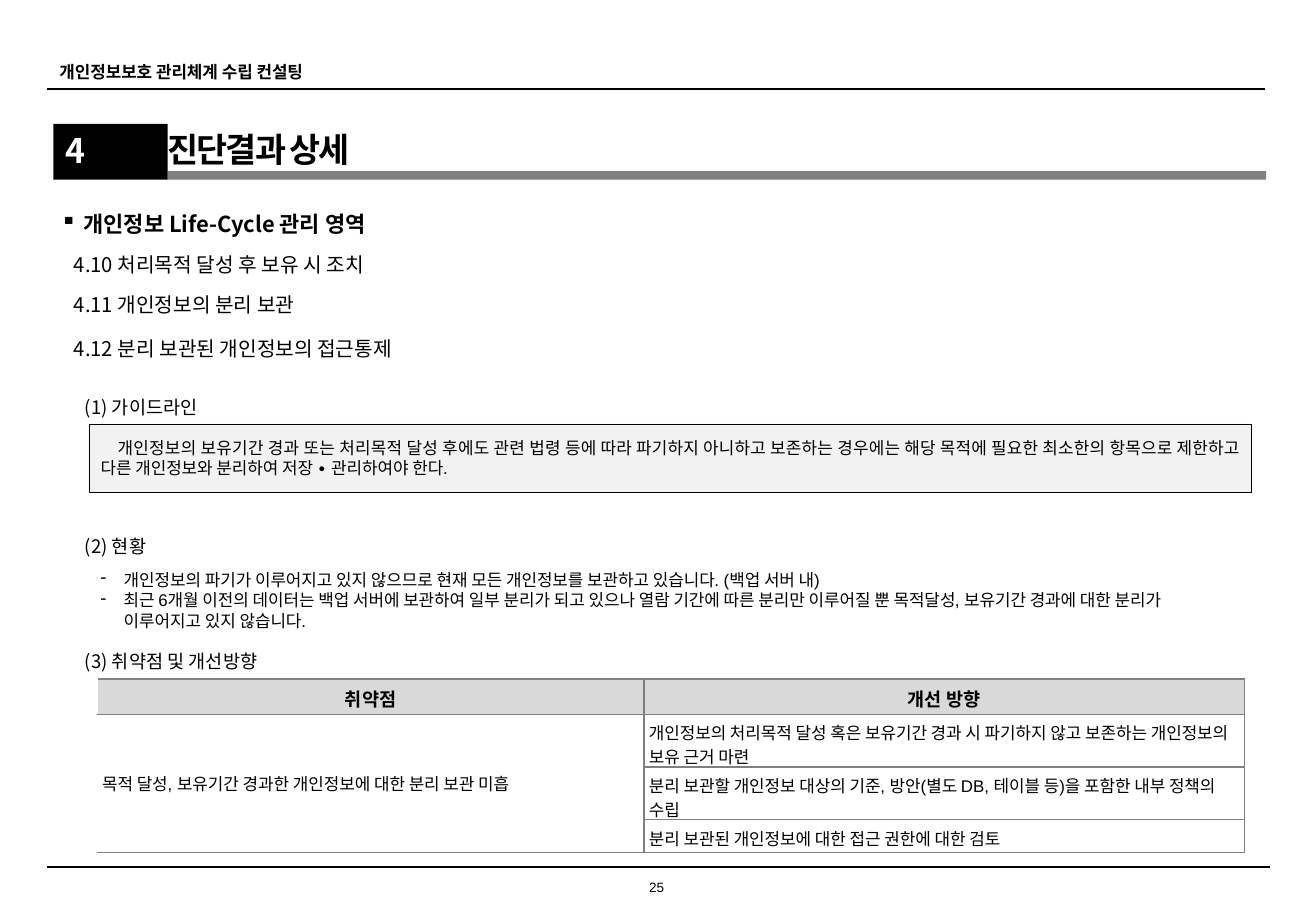
from lxml import etree
from pptx import Presentation
from pptx.dml.color import RGBColor
from pptx.enum.shapes import MSO_CONNECTOR, MSO_SHAPE
from pptx.enum.text import MSO_ANCHOR, PP_ALIGN
from pptx.oxml.ns import qn
from pptx.util import Inches, Pt

COLORS = {"black": "000000", "white": "FFFFFF", "bar": "808080",
          "box": "F2F2F2", "head": "D9D9D9", "border": "808080"}
C = {name: RGBColor.from_string(value) for name, value in COLORS.items()}
NOTO, ARIAL = "Noto Sans CJK KR", "Arial"


def write(tf, lines, size, font=NOTO, bold=False, color="black", align=PP_ALIGN.LEFT,
          spacing=None, indent=None, bullet=None):
    """Fill a text frame, one paragraph per line; indent is (left margin, first line)."""
    tf.word_wrap = True
    tf.text = "\n".join(lines)
    for p in tf.paragraphs:
        p.alignment = align
        if spacing:
            p.line_spacing = spacing
        pPr = p._p.get_or_add_pPr()
        if indent:
            pPr.set("marL", str(Inches(indent[0])))
            pPr.set("indent", str(Inches(indent[1])))
        if bullet:
            etree.SubElement(pPr, qn("a:buChar")).set("char", bullet)
        for r in p.runs:
            r.font.size, r.font.name, r.font.bold = Pt(size), font, bold
            r.font.color.rgb = C[color]
            if font == NOTO:
                etree.SubElement(r._r.get_or_add_rPr(), qn("a:ea")).set("typeface", font)


def set_border(cell, side, color):
    ln = etree.SubElement(cell._tc.get_or_add_tcPr(), qn(f"a:ln{side}"), w=str(Pt(0.75)))
    fill = etree.SubElement(ln, qn("a:solidFill"))
    etree.SubElement(fill, qn("a:srgbClr")).set("val", COLORS[color])


prs = Presentation()
prs.slide_width, prs.slide_height = Inches(10.83), Inches(7.5)
s = prs.slides.add_slide(prs.slide_layouts[6])

# Header and footer rules
for right, y, width in [(10.41, 0.73, 1.25), (10.45, 7.14, 1)]:
    rule = s.shapes.add_connector(MSO_CONNECTOR.STRAIGHT, Inches(0.39), Inches(y),
                                  Inches(right), Inches(y))
    rule.line.color.rgb, rule.line.width = C["black"], Pt(width)
    etree.SubElement(rule._element.spPr, qn("a:effectLst"))

# Title bar, number block and guideline box
blocks = []
for x, y, w, h, fill in [(1.38, 1.41, 9.04, 0.07, "bar"),
                         (0.44, 1.02, 0.94, 0.46, "black"),
                         (0.73, 3.49, 9.57, 0.56, "box")]:
    sp = s.shapes.add_shape(MSO_SHAPE.RECTANGLE, Inches(x), Inches(y), Inches(w), Inches(h))
    sp.shadow.inherit = False
    sp.fill.solid()
    sp.fill.fore_color.rgb = C[fill]
    sp.line.fill.background()
    blocks.append(sp)
bar, number, guideline = blocks

number.text_frame.vertical_anchor = MSO_ANCHOR.TOP
write(number.text_frame, ["4"], 20, bold=True, color="white")

guideline.line.color.rgb, guideline.line.width = C["black"], Pt(0.1)
guideline.text_frame.vertical_anchor = MSO_ANCHOR.MIDDLE
write(guideline.text_frame, [
    "개인정보의 보유기간 경과 또는 처리목적 달성 후에도 관련 법령 등에 따라 파기하지 아니하고 "
    "보존하는 경우에는 해당 목적에 필요한 최소한의 항목으로 제한하고 다른 개인정보와 분리하여 "
    "저장 ∙ 관리하여야 한다."], 10, ARIAL, align=PP_ALIGN.JUSTIFY, indent=(0, 0.14))

# Headings and body text
hanging = (0.19, -0.19)
section = {"size": 12, "spacing": 1.3}
step = {"size": 11, "spacing": 1.3}
texts = [
    (0.39, 0.46, 2.48, 0.27, ["개인정보보호 관리체계 수립 컨설팅"], {"size": 10, "bold": True}),
    (0.4, 1.62, 10.21, 0.39, ["개인정보 Life-Cycle 관리 영역"],
     {"size": 13, "bold": True, "spacing": 1.3, "indent": hanging, "bullet": "▪"}),
    (0.51, 1.97, 4.73, 0.33, ["4.10 처리목적 달성 후 보유 시 조치"], section),
    (0.51, 2.3, 4.73, 0.36, ["4.11 개인정보의 분리 보관"], section),
    (0.51, 2.66, 4.73, 0.36, ["4.12 분리 보관된 개인정보의 접근통제"], section),
    (0.6, 3.16, 4.73, 0.32, ["(1) 가이드라인"], step),
    (0.6, 4.3, 4.73, 0.34, ["(2) 현황"], step),
    (0.73, 4.64, 9.57, 0.61, [
        "개인정보의 파기가 이루어지고 있지 않으므로 현재 모든 개인정보를 보관하고 있습니다. (백업 서버 내)",
        "최근 6개월 이전의 데이터는 백업 서버에 보관하여 일부 분리가 되고 있으나 열람 기간에 따른 "
        "분리만 이루어질 뿐 목적달성, 보유기간 경과에 대한 분리가 이루어지고 있지 않습니다."],
     {"size": 10, "font": ARIAL, "indent": hanging, "bullet": "-"}),
    (0.6, 5.25, 4.73, 0.34, ["(3) 취약점 및 개선방향"], step),
]
for x, y, w, h, lines, style in texts:
    box = s.shapes.add_textbox(Inches(x), Inches(y), Inches(w), Inches(h))
    write(box.text_frame, lines, **style)

title = s.shapes.add_textbox(Inches(1.38), Inches(1.04), Inches(5.48), Inches(0.37))
tf = title.text_frame
write(tf, ["진단결과 상세"], 20, bold=True)
tf.word_wrap = False
tf.margin_left = 0
tf.vertical_anchor = MSO_ANCHOR.MIDDLE
tf.paragraphs[0].runs[0]._r.get_or_add_rPr().set("spc", "-120")

page = s.shapes.add_textbox(Inches(5.24), Inches(7.23), Inches(0.33), Inches(0.14))
tf = page.text_frame
write(tf, ["25"], 8, ARIAL, align=PP_ALIGN.CENTER)
tf.margin_left = tf.margin_right = tf.margin_top = tf.margin_bottom = 0
tf.vertical_anchor = MSO_ANCHOR.MIDDLE

# Weaknesses and improvements
rows = [
    ("취약점", "개선 방향"),
    ("목적 달성, 보유기간 경과한 개인정보에 대한 분리 보관 미흡",
     "개인정보의 처리목적 달성 혹은 보유기간 경과 시 파기하지 않고 보존하는 개인정보의 보유 근거 마련"),
    ("", "분리 보관할 개인정보 대상의 기준, 방안(별도 DB, 테이블 등)을 포함한 내부 정책의 수립"),
    ("", "분리 보관된 개인정보에 대한 접근 권한에 대한 검토"),
]
table = s.shapes.add_table(len(rows), 2, Inches(0.8), Inches(5.59),
                           Inches(9.44), Inches(1.42)).table
for col, width in zip(table.columns, (4.5, 4.94)):
    col.width = Inches(width)
for row, height in zip(table.rows, (0.29, 0.43, 0.43, 0.27)):
    row.height = Inches(height)
table.cell(1, 0).merge(table.cell(3, 0))

for i, row in enumerate(rows):
    for j, text in enumerate(row):
        cell = table.cell(i, j)
        cell.margin_left = cell.margin_right = Inches(0.04)
        cell.margin_top = cell.margin_bottom = Inches(0.05)
        for side in "LRTB":
            set_border(cell, side, "white" if side == "L" and j == 0 else "border")
        cell.fill.solid()
        cell.fill.fore_color.rgb = C["white" if i else "head"]
        if i == 0:
            write(cell.text_frame, [text], 11, bold=True, align=PP_ALIGN.CENTER)
        elif text:
            write(cell.text_frame, [text], 10, ARIAL)
table.cell(1, 0).vertical_anchor = MSO_ANCHOR.MIDDLE

prs.save("out.pptx")
